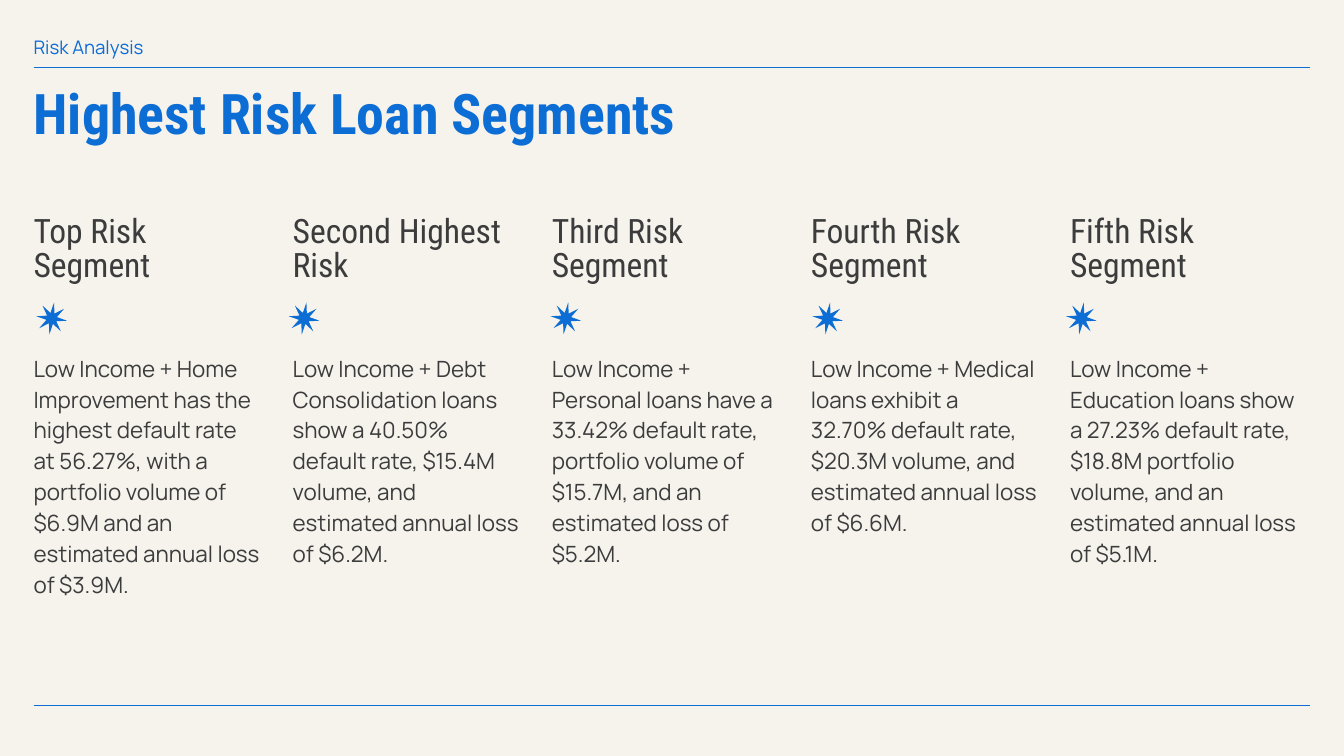
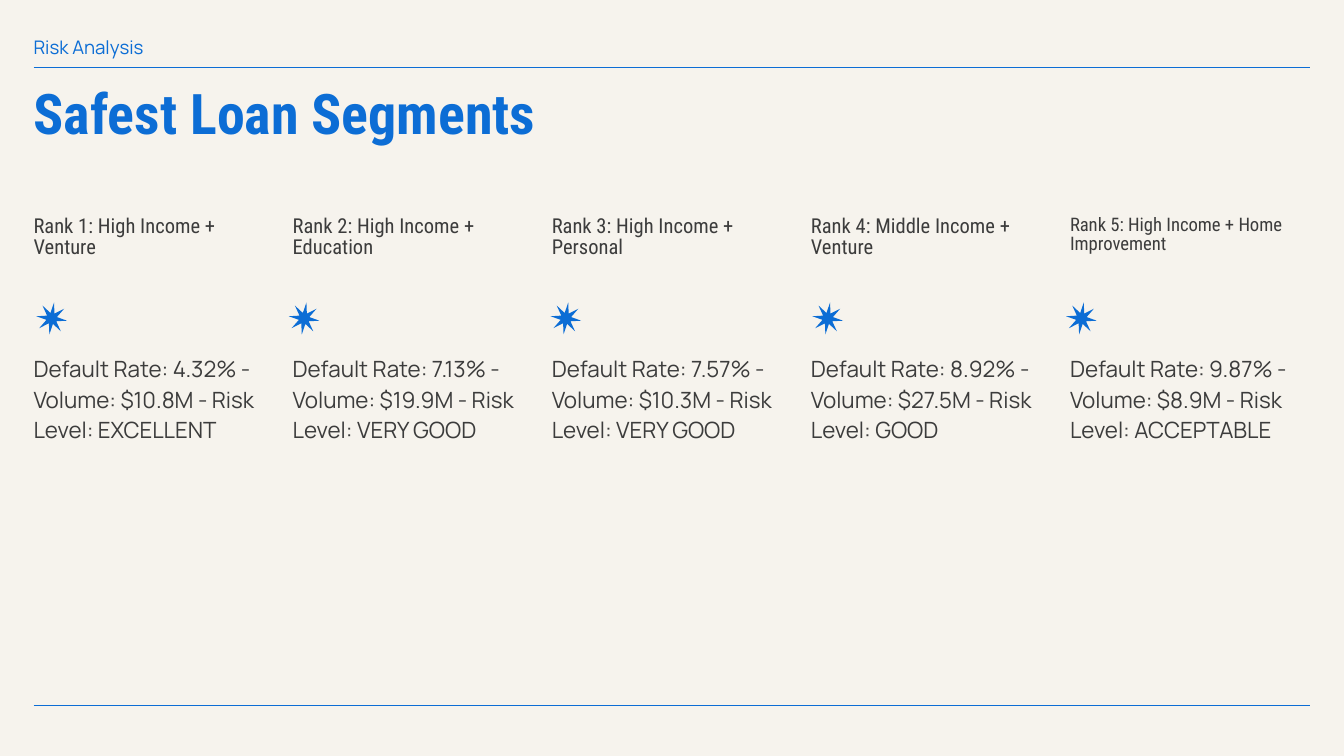
from pptx import Presentation
from pptx.dml.color import RGBColor
from pptx.enum.shapes import MSO_CONNECTOR as Connector, MSO_SHAPE as Shape
from pptx.enum.text import MSO_ANCHOR as Anchor, MSO_AUTO_SIZE as AutoSize, PP_ALIGN as Align
from pptx.oxml.ns import qn
from pptx.util import Inches, Pt
from lxml.etree import SubElement

# Shared look
BLUE, INK, CREAM = "0C6DD5", "3C3C3C", "F6F3ED"
HEADING_FONT, BODY_FONT = "Roboto Condensed", "Manrope"

# Grid, in inches: five equal columns between the side margins
WIDTH, HEIGHT = 10, 5.625
MARGIN, COLUMNS, GAP = 0.25, 5, 0.14
CONTENT_WIDTH = WIDTH - 2 * MARGIN
COLUMN_WIDTH = (CONTENT_WIDTH - (COLUMNS - 1) * GAP) / COLUMNS
HEADING_TOP, STAR_TOP, DETAIL_TOP = 1.61, 2.25, 2.51
RULE_TOP, RULE_BOTTOM = 0.5, 5.25
STAR_NUDGES = [0.02, -0.03, -0.01, 0.01, -0.03]

SECTION = "Risk Analysis"

# Each segment: heading, heading size, detail
RISKIEST = [
    ("Top Risk Segment", 18,
     "Low Income + Home Improvement has the highest default rate at 56.27%, "
     "with a portfolio volume of $6.9M and an estimated annual loss of $3.9M."),
    ("Second Highest Risk", 18,
     "Low Income + Debt Consolidation loans show a 40.50% default rate, "
     "$15.4M volume, and estimated annual loss of $6.2M."),
    ("Third Risk Segment", 18,
     "Low Income + Personal loans have a 33.42% default rate, "
     "portfolio volume of $15.7M, and an estimated loss of $5.2M."),
    ("Fourth Risk Segment", 18,
     "Low Income + Medical loans exhibit a 32.70% default rate, "
     "$20.3M volume, and estimated annual loss of $6.6M."),
    ("Fifth Risk Segment", 18,
     "Low Income + Education loans show a 27.23% default rate, "
     "$18.8M portfolio volume, and an estimated annual loss of $5.1M."),
]
SAFEST = [
    ("Rank 1: High Income + Venture", 11,
     "Default Rate: 4.32% - Volume: $10.8M - Risk Level: EXCELLENT"),
    ("Rank 2: High Income + Education", 11,
     "Default Rate: 7.13% - Volume: $19.9M - Risk Level: VERY GOOD"),
    ("Rank 3: High Income + Personal", 11,
     "Default Rate: 7.57% - Volume: $10.3M - Risk Level: VERY GOOD"),
    ("Rank 4: Middle Income + Venture", 11,
     "Default Rate: 8.92% - Volume: $27.5M - Risk Level: GOOD"),
    ("Rank 5: High Income + Home Improvement", 10,
     "Default Rate: 9.87% - Volume: $8.9M - Risk Level: ACCEPTABLE"),
]


def paint(color_format, color):
    color_format.rgb = RGBColor.from_string(color)


def write(holder, text, size, font, color, bold=False, spacing=1.0, after=0,
          right=0.1, vertical=0.1, anchor=Anchor.TOP):
    """Fill a placeholder or text box with one formatted paragraph."""
    frame = holder.text_frame
    frame.word_wrap = True
    frame.auto_size = AutoSize.NONE
    frame.vertical_anchor = anchor
    frame.margin_left, frame.margin_right = 0, Inches(right)
    frame.margin_top = frame.margin_bottom = Inches(vertical)
    paragraph = frame.paragraphs[0]
    paragraph.alignment = Align.LEFT
    paragraph.line_spacing = spacing
    paragraph.space_before, paragraph.space_after = Pt(0), Pt(after)
    run = paragraph.add_run()
    run.text = text
    run.font.name, run.font.size, run.font.bold = font, Pt(size), bold
    paint(run.font.color, color)


def add_text(slide, left, top, width, height, text, size, font, color, **style):
    box = slide.shapes.add_textbox(*map(Inches, (left, top, width, height)))
    write(box, text, size, font, color, **style)


def add_star(slide, left):
    star = slide.shapes.add_shape(
        Shape.STAR_8_POINT, *map(Inches, (left, STAR_TOP, 0.23, 0.24)))
    star.adjustments[0] = 0.174
    star.rotation = 8.3
    star.shadow.inherit = False
    star.fill.solid()
    paint(star.fill.fore_color, BLUE)
    star.line.fill.background()


def move_rules_to_layout(slide):
    """Draw the top and bottom rules once, on the layout behind every slide."""
    layout_tree = slide.slide_layout.shapes.element
    for number, y in enumerate((RULE_TOP, RULE_BOTTOM)):
        rule = slide.shapes.add_connector(
            Connector.STRAIGHT, *map(Inches, (MARGIN, y, WIDTH - MARGIN, y)))
        paint(rule.line.color, BLUE)
        rule.line.width = Pt(0.75)
        SubElement(rule.element.spPr, qn("a:effectLst"))
        rule.element.nvCxnSpPr.cNvPr.set("id", str(100 + number))
        layout_tree.append(rule.element)


def add_segment(slide, column, heading, heading_size, detail):
    left = MARGIN + column * (COLUMN_WIDTH + GAP)
    add_text(slide, left, HEADING_TOP, COLUMN_WIDTH, 0.63, heading, heading_size,
             HEADING_FONT, INK, spacing=0.85, after=8, vertical=0)
    add_star(slide, left + STAR_NUDGES[column])
    add_text(slide, left, DETAIL_TOP, COLUMN_WIDTH, RULE_BOTTOM - DETAIL_TOP, detail, 12,
             BODY_FONT, INK, spacing=1.15, after=8 if column else 20)


def add_segment_slide(deck, layout, heading, segments):
    slide = deck.slides.add_slide(layout)
    title = slide.shapes.title
    title.left, title.top, title.width, title.height = map(
        Inches, (MARGIN, 0.57, CONTENT_WIDTH, 0.63))
    write(title, heading, 30, HEADING_FONT, BLUE, bold=True, spacing=0.75,
          right=0, anchor=Anchor.MIDDLE)
    add_text(slide, MARGIN, 0.17, 4.63, 0.26, SECTION, 10, BODY_FONT, BLUE)
    for column, segment in enumerate(segments):
        add_segment(slide, column, *segment)
    return slide


def main():
    deck = Presentation()
    deck.slide_width, deck.slide_height = Inches(WIDTH), Inches(HEIGHT)
    backdrop = deck.slide_master.background.fill
    backdrop.solid()
    paint(backdrop.fore_color, CREAM)

    title_only = deck.slide_layouts[5]
    riskiest = add_segment_slide(deck, title_only, "Highest Risk Loan Segments", RISKIEST)
    move_rules_to_layout(riskiest)
    add_segment_slide(deck, title_only, "Safest Loan Segments", SAFEST)
    deck.save("out.pptx")


if __name__ == "__main__":
    main()
